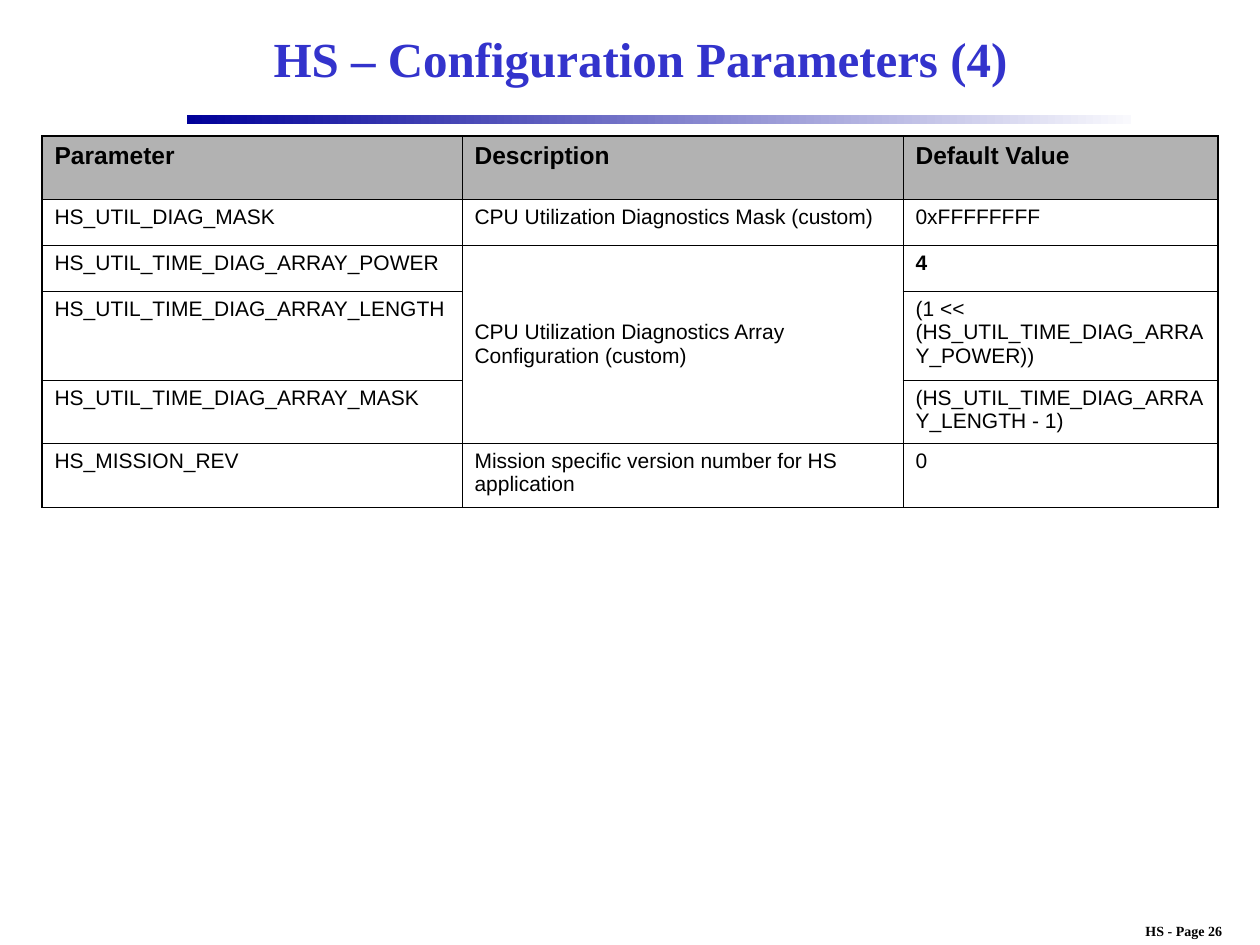
from lxml.etree import SubElement
from pptx import Presentation
from pptx.dml.color import RGBColor
from pptx.enum.shapes import MSO_SHAPE as Shape
from pptx.enum.text import MSO_ANCHOR as Anchor, PP_ALIGN as Align
from pptx.oxml.ns import qn
from pptx.util import Emu, Pt

# Content
TITLE = "HS – Configuration Parameters (4)"
PAGE_LABEL = "HS - Page 26"
ROWS = [
    ("Parameter", "Description", "Default Value"),
    ("HS_UTIL_DIAG_MASK", "CPU Utilization Diagnostics Mask (custom)", "0xFFFFFFFF"),
    ("HS_UTIL_TIME_DIAG_ARRAY_POWER",
     "CPU Utilization Diagnostics Array Configuration (custom)", "4"),
    ("HS_UTIL_TIME_DIAG_ARRAY_LENGTH", None, "(1 << (HS_UTIL_TIME_DIAG_ARRAY_POWER))"),
    ("HS_UTIL_TIME_DIAG_ARRAY_MASK", None, "(HS_UTIL_TIME_DIAG_ARRAY_LENGTH - 1)"),
    ("HS_MISSION_REV", "Mission specific version number for HS application", "0"),
]
SHARED_ROWS = (2, 4)  # first and last row of the shared description
BOLD_VALUES = {"4"}

# Look and layout, in px
COLORS = {"title": "3333CC", "text": "000000", "header": "B2B2B2", "border": "000000",
          "bar_start": "000099", "bar_end": "F9F9FD"}
HEADING_FONT, TABLE_FONT = "Times New Roman", "Arial"
OUTER_LINE, INNER_LINE = Pt(1.08), Pt(0.45)
COL_WIDTHS = [420, 441, 315]
ROW_HEIGHTS = [63, 46, 46, 89, 63, 64]


def px(n):
    return Emu(round(n * 914400 / 126))


def color(name):
    return RGBColor.from_string(COLORS[name])


def add_run(paragraph, text, font_name, size, color_name, bold):
    run = paragraph.add_run()
    run.text = text
    font = run.font
    font.name, font.size, font.bold = font_name, Pt(size), bold
    font.color.rgb = color(color_name)


def add_heading(slide, box, text, size, color_name, anchor, wrap):
    frame = slide.shapes.add_textbox(*map(px, box)).text_frame
    frame.word_wrap, frame.vertical_anchor = wrap, anchor
    paragraph = frame.paragraphs[0]
    paragraph.alignment = Align.CENTER
    add_run(paragraph, text, HEADING_FONT, size, color_name, True)


def set_borders(cell, row, col):
    last_row, last_col = len(ROWS) - 1, len(COL_WIDTHS) - 1
    on_edge = {"L": col == 0, "R": col == last_col, "T": row == 0, "B": row == last_row}
    properties = cell._tc.get_or_add_tcPr()
    for side, outer in on_edge.items():
        # The bottom edge is as thin as the inner lines
        width = OUTER_LINE if outer and side != "B" else INNER_LINE
        line = SubElement(properties, qn(f"a:ln{side}"), w=str(width))
        fill = SubElement(line, qn("a:solidFill"))
        SubElement(fill, qn("a:srgbClr"), val=COLORS["border"])


def add_parameter_table(slide):
    table = slide.shapes.add_table(
        len(ROWS), len(COL_WIDTHS), px(42), px(136),
        px(sum(COL_WIDTHS)), px(sum(ROW_HEIGHTS))).table
    for column, width in zip(table.columns, COL_WIDTHS):
        column.width = px(width)
    for table_row, height in zip(table.rows, ROW_HEIGHTS):
        table_row.height = px(height)

    first, last = SHARED_ROWS
    table.cell(first, 1).merge(table.cell(last, 1))
    table.cell(first, 1).vertical_anchor = Anchor.MIDDLE

    for r, row in enumerate(ROWS):
        header = r == 0
        for c, text in enumerate(row):
            cell = table.cell(r, c)
            set_borders(cell, r, c)
            if header:
                cell.fill.solid()
                cell.fill.fore_color.rgb = color("header")
            else:
                cell.fill.background()
            if text:
                add_run(cell.text_frame.paragraphs[0], text, TABLE_FONT,
                        14 if header else 12, "text", header or text in BOLD_VALUES)


def add_bar(slide):
    bar = slide.shapes.add_shape(Shape.RECTANGLE, px(187), px(115), px(944), px(9))
    bar.shadow.inherit = False
    bar.line.fill.background()
    bar.fill.gradient()
    bar.fill.gradient_angle = 0
    for stop, name in zip(bar.fill.gradient_stops, ("bar_start", "bar_end")):
        stop.color.rgb = color(name)


def main():
    deck = Presentation()
    deck.slide_width, deck.slide_height = px(1260), px(945)
    slide = deck.slides.add_slide(deck.slide_layouts[6])
    add_heading(slide, (1108, 916, 152, 29), PAGE_LABEL, 8, "text", Anchor.TOP, False)
    add_bar(slide)
    add_heading(slide, (189, 10, 903, 95), TITLE, 28, "title", Anchor.MIDDLE, True)
    add_parameter_table(slide)
    deck.save("out.pptx")


if __name__ == "__main__":
    main()
